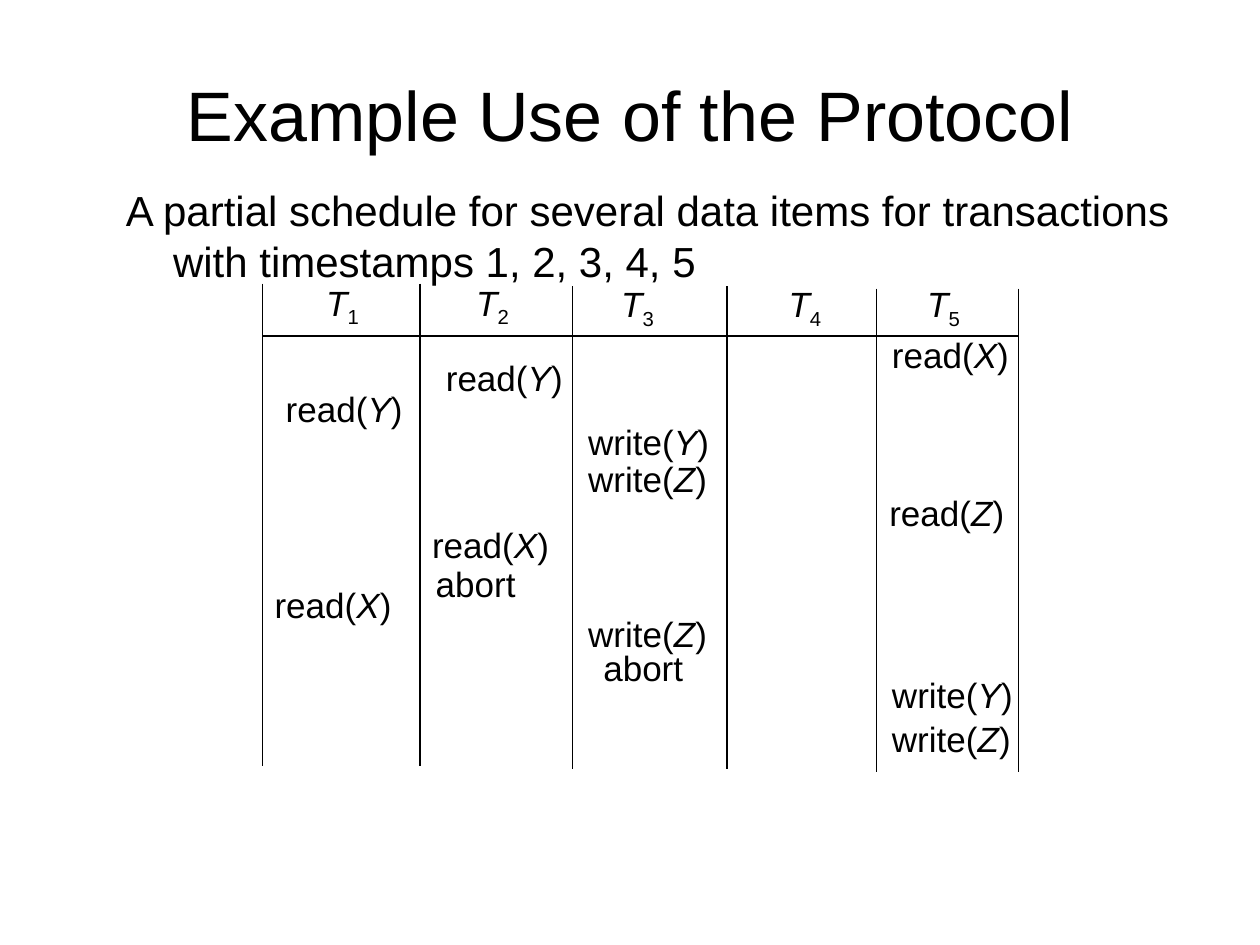
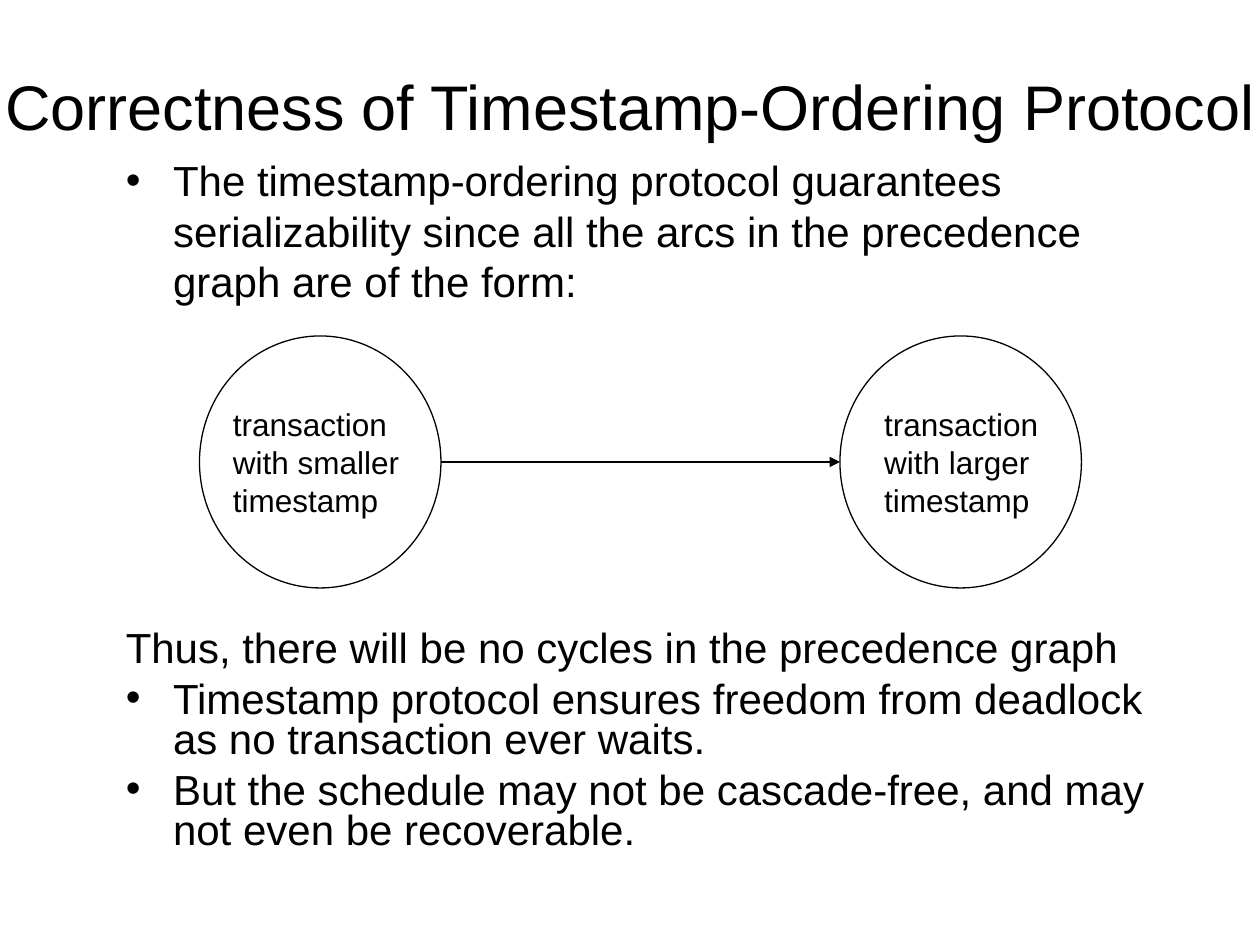
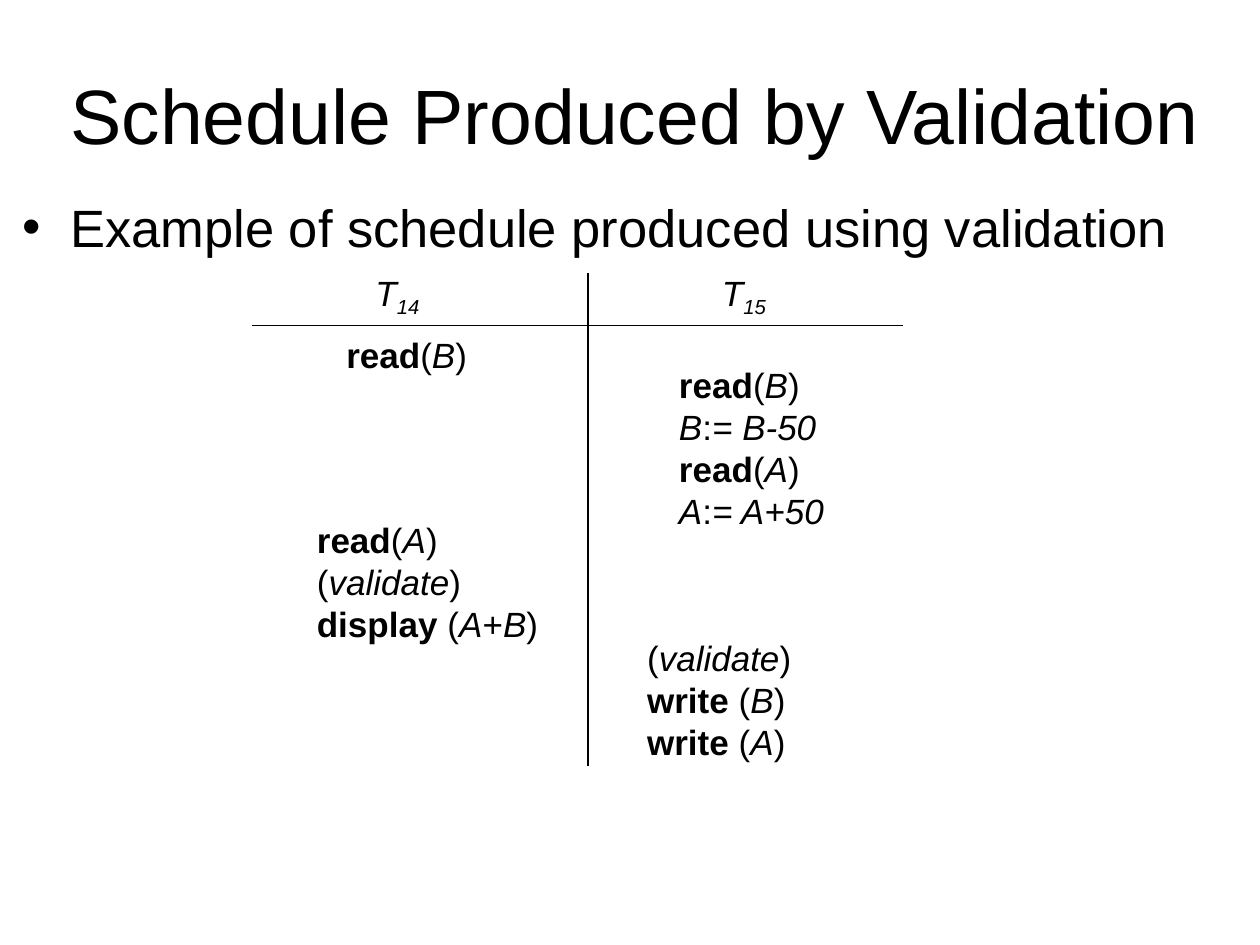
"""Build three slides on timestamp-ordering and validation schedules."""
from dataclasses import dataclass

from lxml.etree import SubElement
from pptx import Presentation
from pptx.dml.color import RGBColor
from pptx.enum.shapes import MSO_CONNECTOR, MSO_SHAPE
from pptx.enum.text import MSO_ANCHOR, MSO_AUTO_SIZE, PP_ALIGN
from pptx.oxml.ns import qn
from pptx.util import Pt


@dataclass(frozen=True)
class Theme:
    ink: RGBColor = RGBColor(0, 0, 0)
    font: str = "Arial"
    body: float = 24
    schedule: float = 20
    node: float = 18
    large_body: float = 30
    leading: float = 1.2
    subscript_leading: float = 1.37
    tight_leading: float = 0.96
    line: float = 0.75
    inset_x: float = 7.2
    inset_y: float = 3.6
    hanging: float = 27


THEME = Theme()

PROTOCOL_TITLE = ("Example Use of the Protocol", (36, 39.6, 648, 50.4), 40)
PROTOCOL_BODY = [("A partial schedule for several data items for transactions "
                  "with timestamps 1, 2, 3, 4, 5", {"hanging": True})]
COLUMN_EDGES = [150, 240, 327, 415.5, 501, 582]
COLUMN_HEIGHT = 276
HEADER_LEFTS = [179.3, 265, 347.8, 443.5, 522.7]
OPERATIONS = [
    ("read(/Y/)", 247.7, 200.4, 84),
    ("read(/X/)", 502.6, 187.2, 88),
    ("read(/Y/)", 156.2, 217.7, 84),
    ("write(/Y/)", 329, 236.9, 90),
    ("write(/Z/)", 329, 257.8, 90),
    ("read(/Z/)", 501.1, 277.2, 88),
    ("read(/X/)", 239.8, 295.5, 88),
    ("abort", 241.9, 317.8, 72),
    ("read(/X/)", 149.8, 329.8, 88),
    ("write(/Z/)", 329, 346.3, 90),
    ("abort", 337.7, 365.8, 72),
    ("write(/Y/)", 502.6, 381.2, 90),
    ("write(/Z/)", 502.6, 406.6, 94),
]

CORRECTNESS_TITLE = ("Correctness of Timestamp-Ordering Protocol", (0, 36, 720, 48.2), 36)
CORRECTNESS_BODY = [
    ("The timestamp-ordering protocol guarantees serializability since all the arcs "
     "in the precedence graph are of the form:", {"bullet": True}),
    ("Thus, there will be no cycles in the precedence graph",
     {"hanging": True, "before": 180}),
    ("Timestamp protocol ensures freedom from deadlock as no transaction ever waits.",
     {"bullet": True, "before": 6, "leading": THEME.tight_leading}),
    ("But the schedule may not be cascade-free, and may not even be recoverable.",
     {"bullet": True, "before": 6, "leading": THEME.tight_leading}),
]
NODES = [
    (["transaction", "with smaller", "timestamp"], 114, 126, 113),
    (["transaction", "with larger", "timestamp"], 480, 498.2, 106),
]
NODE_TOP, NODE_WIDTH, NODE_HEIGHT = 192, 138, 144

VALIDATION_TITLE = ("Schedule Produced by Validation", (30, 33.8, 666, 62.6), 44)
VALIDATION_BODY = [("Example of schedule produced using validation", {"bullet": True})]
VALIDATION_HEADERS = [("/T_14_/", 207.4), ("/T_15_/", 405.4)]
VALIDATION_STEPS = [
    (["*read*(/B/)"], 190.8, 187.2, 86),
    (["*read*(/B/)", "/B/:/= B-50/", "*read*(/A/)", "/A/:/= A+50/"], 380.9, 204, 101),
    (["*read*(/A/)", "(/validate/)", "*display* (/A/+/B/)"], 174, 292.6, 145),
    (["(/validate/)", "*write* (/B/)", "*write* (/A/)"], 362.7, 360, 101),
]


def add_runs(paragraph, markup, size):
    """Split markup into runs: * toggles bold, / italic and _ subscript."""
    state = dict.fromkeys("*/_", False)
    pending = ""
    for character in markup + "*":
        if character not in state:
            pending += character
            continue
        if pending:
            run = paragraph.add_run()
            run.text = pending
            run.font.name = THEME.font
            run.font.size = Pt(size)
            run.font.color.rgb = THEME.ink
            run.font.bold = state["*"]
            run.font.italic = state["/"]
            if state["_"]:
                run.font._element.set("baseline", "-25000")
            pending = ""
        state[character] = not state[character]


def format_paragraph(paragraph, size, bullet=False, hanging=False, before=0,
                     leading=THEME.leading, align=PP_ALIGN.LEFT):
    """Set indents, bullet, spacing and alignment."""
    properties = paragraph._p.get_or_add_pPr()
    if bullet or hanging:
        properties.set("marL", str(Pt(THEME.hanging)))
        properties.set("indent", str(-Pt(THEME.hanging)))
    if bullet:
        SubElement(properties, qn("a:buFont")).set("typeface", THEME.font)
        SubElement(properties, qn("a:buChar")).set("char", "•")
    paragraph.alignment = align
    paragraph.line_spacing = Pt(round(size * leading, 2))
    paragraph.space_before = Pt(before)


def add_text(shapes, paragraphs, box, size, wrap=True, anchor=MSO_ANCHOR.TOP,
             inset_x=THEME.inset_x, **paragraph_format):
    """Add a text box of (markup, options) paragraphs."""
    shape = shapes.add_textbox(*map(Pt, box))
    frame = shape.text_frame
    frame.word_wrap = wrap
    frame.auto_size = MSO_AUTO_SIZE.NONE if wrap else MSO_AUTO_SIZE.SHAPE_TO_FIT_TEXT
    frame.vertical_anchor = anchor
    frame.margin_left = frame.margin_right = Pt(inset_x)
    frame.margin_top = frame.margin_bottom = Pt(THEME.inset_y)
    for index, (markup, options) in enumerate(paragraphs):
        paragraph = frame.add_paragraph() if index else frame.paragraphs[0]
        format_paragraph(paragraph, size, **{**paragraph_format, **options})
        add_runs(paragraph, markup, size)


def add_label(shapes, lines, left, top, width, size=THEME.schedule, leading=THEME.leading):
    """Add an unwrapped label as tall as its lines."""
    height = round(len(lines) * size * leading + 2 * THEME.inset_y, 2)
    add_text(shapes, [(line, {}) for line in lines], (left, top, width, height), size,
             wrap=False, leading=leading)


def add_line(shapes, start, end, arrow=False):
    """Add a thin straight line, with an arrowhead on request."""
    connector = shapes.add_connector(MSO_CONNECTOR.STRAIGHT, *map(Pt, start + end))
    connector.line.color.rgb = THEME.ink
    connector.line.width = Pt(THEME.line)
    if arrow:
        SubElement(connector.line._get_or_add_ln(), qn("a:tailEnd")).set("type", "triangle")
    SubElement(connector._element.spPr, qn("a:effectLst"))


def add_slide(presentation, title, body, body_box, body_size=THEME.body):
    """Add a blank slide with its title and body, and return its shapes."""
    shapes = presentation.slides.add_slide(presentation.slide_layouts[6]).shapes
    text, box, size = title
    inset_x = 0 if box[2] == 720 else THEME.inset_x
    add_text(shapes, [(text, {})], box, size, anchor=MSO_ANCHOR.MIDDLE,
             inset_x=inset_x, align=PP_ALIGN.CENTER)
    add_text(shapes, body, body_box, body_size)
    return shapes


def build_protocol(presentation):
    """Build the five-transaction schedule."""
    shapes = add_slide(presentation, PROTOCOL_TITLE, PROTOCOL_BODY, (64.8, 102.2, 645, 383.8))
    for index, x in enumerate(COLUMN_EDGES):
        top = 162 + 1.5 * (index // 2)
        add_line(shapes, (x, top), (x, top + COLUMN_HEIGHT))
    add_line(shapes, (COLUMN_EDGES[0], 192), (COLUMN_EDGES[-1], 192))
    for number, left in enumerate(HEADER_LEFTS, 1):
        add_label(shapes, [f"/T/_{number}_"], left, 157 if number < 3 else 157.7, 35,
                  leading=THEME.subscript_leading)
    for text, left, top, width in OPERATIONS:
        add_label(shapes, [text], left, top, width)


def build_correctness(presentation):
    """Build the precedence graph between its explanations."""
    shapes = add_slide(presentation, CORRECTNESS_TITLE, CORRECTNESS_BODY,
                       (64.8, 85, 621.4, 416.2))
    graph = shapes.add_group_shape().shapes
    for lines, node_left, text_left, text_width in NODES:
        add_label(graph, lines, text_left, 228.2, text_width, size=THEME.node)
        node = graph.add_shape(MSO_SHAPE.OVAL, Pt(node_left), Pt(NODE_TOP),
                               Pt(NODE_WIDTH), Pt(NODE_HEIGHT))
        node.shadow.inherit = False
        node.fill.background()
        node.line.color.rgb = THEME.ink
        node.line.width = Pt(THEME.line)
    middle = NODE_TOP + NODE_HEIGHT / 2
    add_line(graph, (NODES[0][1] + NODE_WIDTH, middle), (NODES[1][1], middle), arrow=True)


def build_validation(presentation):
    """Build the two-transaction schedule."""
    shapes = add_slide(presentation, VALIDATION_TITLE, VALIDATION_BODY,
                       (6, 108, 702, 384), THEME.large_body)
    add_line(shapes, (144, 186), (516, 186))
    add_line(shapes, (336, 156), (336, 438))
    for text, left in VALIDATION_HEADERS:
        add_label(shapes, [text], left, 151.2, 42, leading=THEME.subscript_leading)
    for lines, left, top, width in VALIDATION_STEPS:
        add_label(shapes, lines, left, top, width)


def main():
    """Build the slides and save them."""
    presentation = Presentation()
    presentation.slide_width, presentation.slide_height = Pt(720), Pt(540)
    build_protocol(presentation)
    build_correctness(presentation)
    build_validation(presentation)
    presentation.save("out.pptx")


if __name__ == "__main__":
    main()
